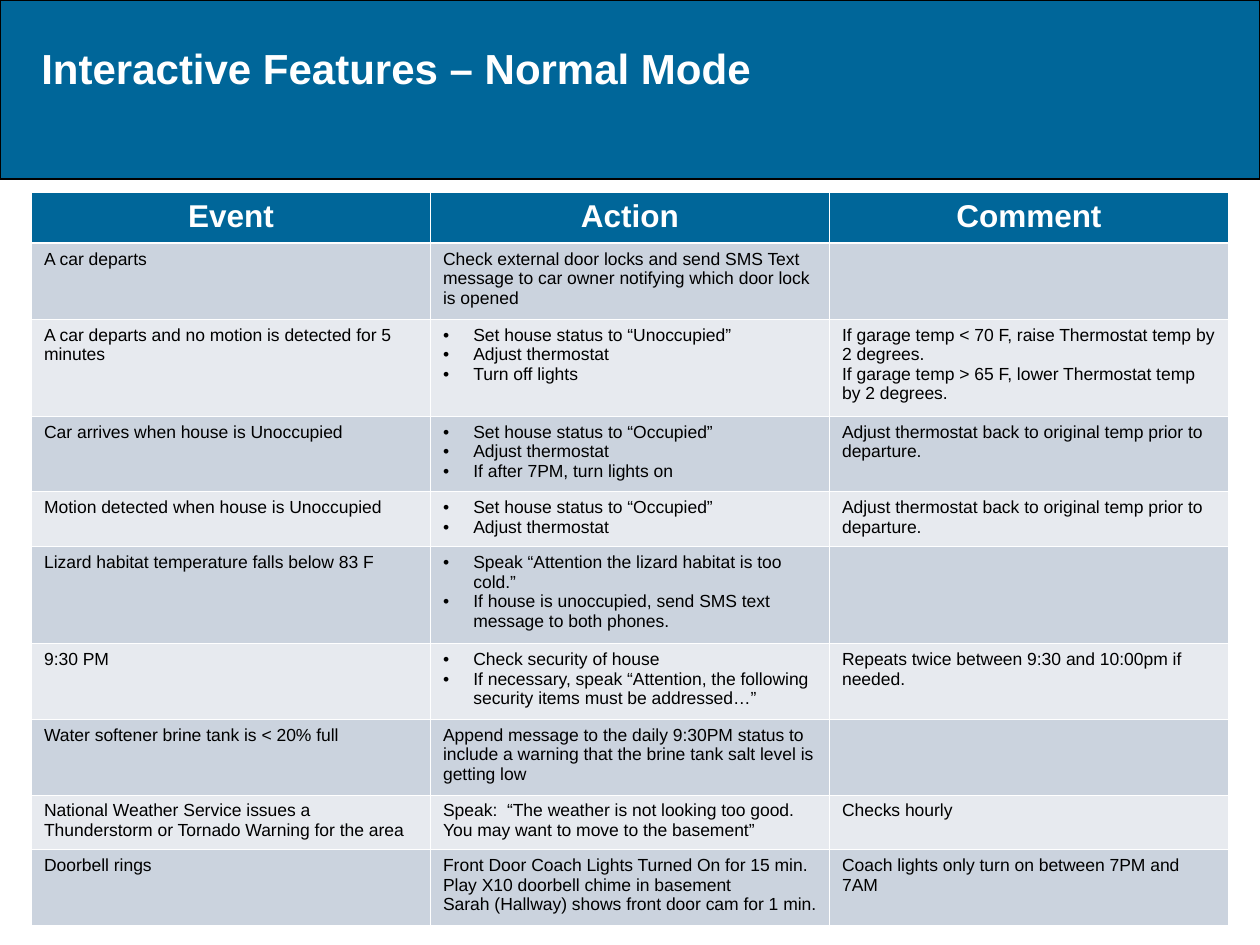
from lxml.etree import SubElement
from pptx import Presentation
from pptx.dml.color import RGBColor
from pptx.enum.shapes import MSO_SHAPE
from pptx.enum.text import PP_ALIGN
from pptx.oxml.ns import qn
from pptx.util import Inches, Pt

TITLE = "Interactive Features – Normal Mode"
HEADINGS = ["Event", "Action", "Comment"]
BULLET = "• "
ROWS = [
    (0.6, "A car departs",
     ["Check external door locks and send SMS Text message to car owner notifying which door lock is opened"],
     []),
    (0.77, "A car departs and no motion is detected for 5 minutes",
     ["• Set house status to “Unoccupied”", "• Adjust thermostat", "• Turn off lights"],
     ["If garage temp < 70 F, raise Thermostat temp by 2 degrees.",
      "If garage temp > 65 F, lower Thermostat temp by 2 degrees."]),
    (0.6, "Car arrives when house is Unoccupied",
     ["• Set house status to “Occupied”", "• Adjust thermostat", "• If after 7PM, turn lights on"],
     ["Adjust thermostat back to original temp prior to departure."]),
    (0.43, "Motion detected when house is Unoccupied",
     ["• Set house status to “Occupied”", "• Adjust thermostat"],
     ["Adjust thermostat back to original temp prior to departure."]),
    (0.77, "Lizard habitat temperature falls below 83 F",
     ["• Speak “Attention the lizard habitat is too cold.”",
      "• If house is unoccupied, send SMS text message to both phones."],
     []),
    (0.6, "9:30 PM",
     ["• Check security of house",
      "• If necessary, speak “Attention, the following security items must be addressed…”"],
     ["Repeats twice between 9:30 and 10:00pm if needed."]),
    (0.6, "Water softener brine tank is < 20% full",
     ["Append message to the daily 9:30PM status to include a warning that the brine tank salt level is getting low"],
     []),
    (0.43, "National Weather Service issues a Thunderstorm or Tornado Warning for the area",
     ["Speak:  “The weather is not looking too good.  You may want to move to the basement”"],
     ["Checks hourly"]),
    (0.6, "Doorbell rings",
     ["Front Door Coach Lights Turned On for 15 min.", "Play X10 doorbell chime in basement",
      "Sarah (Hallway) shows front door cam for 1 min."],
     ["Coach lights only turn on between 7PM and 7AM"]),
]
HEADING_HEIGHT = 0.4
BLUE, WHITE, BLACK = "006699", "FFFFFF", "000000"
BANDS = ["CBD3DE", "E7EAEF"]
THIN, THICK = 0.45, 1.47


def color(value):
    """Return the colour for a hex string."""
    return RGBColor.from_string(value)


def add_span(para, text, size, ink, bold=False):
    """Add one styled run to a paragraph."""
    span = para.add_run()
    span.text = text
    span.font.name = "Arial"
    span.font.size = Pt(size)
    span.font.bold = bold
    span.font.color.rgb = color(ink)


def add_bullet(para):
    """Give a paragraph a hanging round bullet."""
    properties = para._p.get_or_add_pPr()
    properties.set("marL", str(Inches(0.24)))
    properties.set("indent", str(-Inches(0.24)))
    tint = SubElement(properties, qn("a:buClr"))
    SubElement(tint, qn("a:srgbClr"), val=BLACK)
    SubElement(properties, qn("a:buFont"), typeface="Arial")
    SubElement(properties, qn("a:buChar"), char=BULLET.strip())


def style_cell(cell, fill, top, bottom):
    """Draw the white borders and the fill of a cell."""
    properties = cell._tc.get_or_add_tcPr()
    for side, width in zip("LRTB", (THIN, THIN, top, bottom)):
        line = SubElement(properties, qn(f"a:ln{side}"), w=str(Pt(width)))
        paint = SubElement(line, qn("a:solidFill"))
        SubElement(paint, qn("a:srgbClr"), val=WHITE)
    cell.fill.solid()
    cell.fill.fore_color.rgb = color(fill)


def fill_cell(cell, lines):
    """Write body lines into a cell, one paragraph each."""
    frame = cell.text_frame
    if not lines:
        frame.paragraphs[0].font.size = Pt(10)
    for index, line in enumerate(lines):
        para = frame.add_paragraph() if index else frame.paragraphs[0]
        if line.startswith(BULLET):
            add_bullet(para)
        add_span(para, line.removeprefix(BULLET), 10, BLACK)


def add_header(page):
    """Add the blue band and the title."""
    band = page.shapes.add_shape(MSO_SHAPE.RECTANGLE, 0, 0, Inches(10), Inches(1.42))
    band.shadow.inherit = False
    band.fill.solid()
    band.fill.fore_color.rgb = color(BLUE)
    band.line.color.rgb = color(BLACK)
    band.line.width = Pt(1)
    box = page.shapes.add_textbox(Inches(0.23), Inches(0.29), Inches(9.43), Inches(0.5))
    box.text_frame.word_wrap = True
    add_span(box.text_frame.paragraphs[0], TITLE, 24, WHITE, True)


def add_events(page):
    """Add the table of events, actions and comments."""
    heights = [HEADING_HEIGHT] + [row[0] for row in ROWS]
    table = page.shapes.add_table(
        len(heights), len(HEADINGS), Inches(0.25), Inches(1.53), Inches(9.5), Inches(sum(heights))).table
    table.first_row = table.horz_banding = False
    for row, height in zip(table.rows, heights):
        row.height = Inches(height)
    for column, heading in enumerate(HEADINGS):
        cell = table.cell(0, column)
        style_cell(cell, BLUE, THIN, THICK)
        para = cell.text_frame.paragraphs[0]
        para.alignment = PP_ALIGN.CENTER
        add_span(para, heading, 18, WHITE, True)
    for index, (_, event, actions, comments) in enumerate(ROWS):
        for column, lines in enumerate(([event], actions, comments)):
            cell = table.cell(index + 1, column)
            style_cell(cell, BANDS[index % 2], THIN if index else THICK, THIN)
            fill_cell(cell, lines)


def main():
    """Build and save the deck."""
    deck = Presentation()
    deck.slide_width, deck.slide_height = Inches(10), Inches(7.5)
    page = deck.slides.add_slide(deck.slide_layouts[6])
    add_header(page)
    add_events(page)
    deck.save("out.pptx")


if __name__ == "__main__":
    main()
